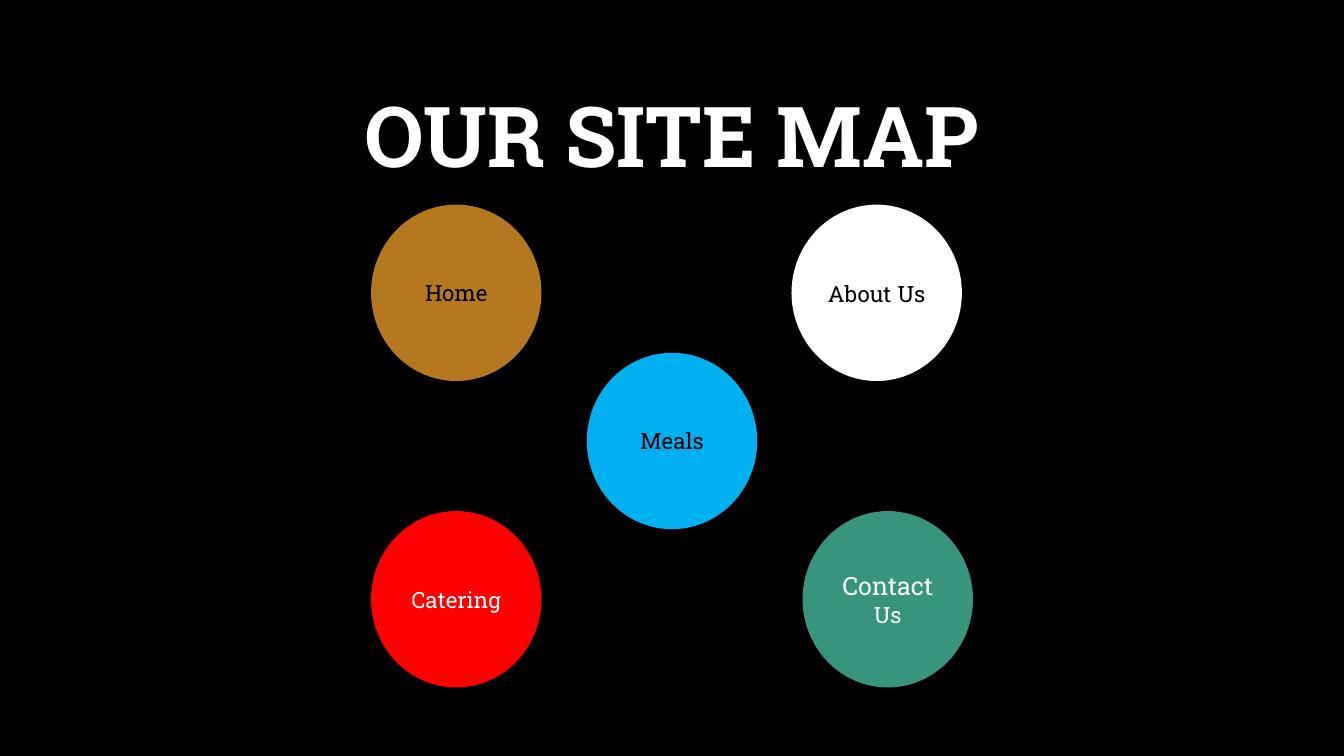
from pptx import Presentation
from pptx.dml.color import RGBColor
from pptx.enum.shapes import MSO_SHAPE
from pptx.enum.text import MSO_ANCHOR, PP_ALIGN
from pptx.util import Inches, Pt

FONT = "Roboto Slab"
BLACK = RGBColor(0x00, 0x00, 0x00)
WHITE = RGBColor(0xFF, 0xFF, 0xFF)
BROWN = RGBColor(0xB5, 0x78, 0x1F)
GREEN = RGBColor(0x37, 0x94, 0x7D)
RED = RGBColor(0xFF, 0x00, 0x00)
BLUE = RGBColor(0x00, 0xB0, 0xF0)

PAGES = [
    (3.68, 2.03, BROWN, BLACK, [("Home", 16)]),
    (7.85, 2.03, WHITE, BLACK, [("About", 16), (" ", 18), ("Us", 16)]),
    (7.96, 5.07, GREEN, WHITE, [("Contact ", 18), ("Us", 16)]),
    (3.68, 5.07, RED, WHITE, [("Catering", 16)]),
    (5.82, 3.5, BLUE, BLACK, [("Meals", 16)]),
]


def write(frame, runs, color, bold=False):
    """Write centred runs of (text, size) into a text frame."""
    frame.word_wrap = True
    frame.vertical_anchor = MSO_ANCHOR.MIDDLE
    para = frame.paragraphs[0]
    para.alignment = PP_ALIGN.CENTER
    for text, size in runs:
        run = para.add_run()
        run.text = text
        run.font.name = FONT
        run.font.size = Pt(size)
        run.font.bold = bold
        run.font.color.rgb = color
    return para


def add_title(slide, text):
    """Place and fill the title placeholder."""
    title = slide.shapes.title
    title.left, title.top = Inches(1), Inches(0.67)
    title.width, title.height = Inches(11.32), Inches(1.45)
    para = write(title.text_frame, [(text, 60)], WHITE, bold=True)
    para.line_spacing = 0.9


def add_page(slide, left, top, fill, color, runs):
    """Add the circle of one site page."""
    oval = slide.shapes.add_shape(
        MSO_SHAPE.OVAL, Inches(left), Inches(top), Inches(1.69), Inches(1.75)
    )
    oval.shadow.inherit = False
    oval.fill.solid()
    oval.fill.fore_color.rgb = fill
    oval.line.fill.background()
    write(oval.text_frame, runs, color)


def main():
    """Build the site map slide."""
    deck = Presentation()
    deck.slide_width, deck.slide_height = Inches(13.33), Inches(7.5)
    slide = deck.slides.add_slide(deck.slide_layouts[5])
    slide.background.fill.solid()
    slide.background.fill.fore_color.rgb = BLACK
    add_title(slide, "OUR SITE MAP")
    for page in PAGES:
        add_page(slide, *page)
    deck.save("out.pptx")


if __name__ == "__main__":
    main()
